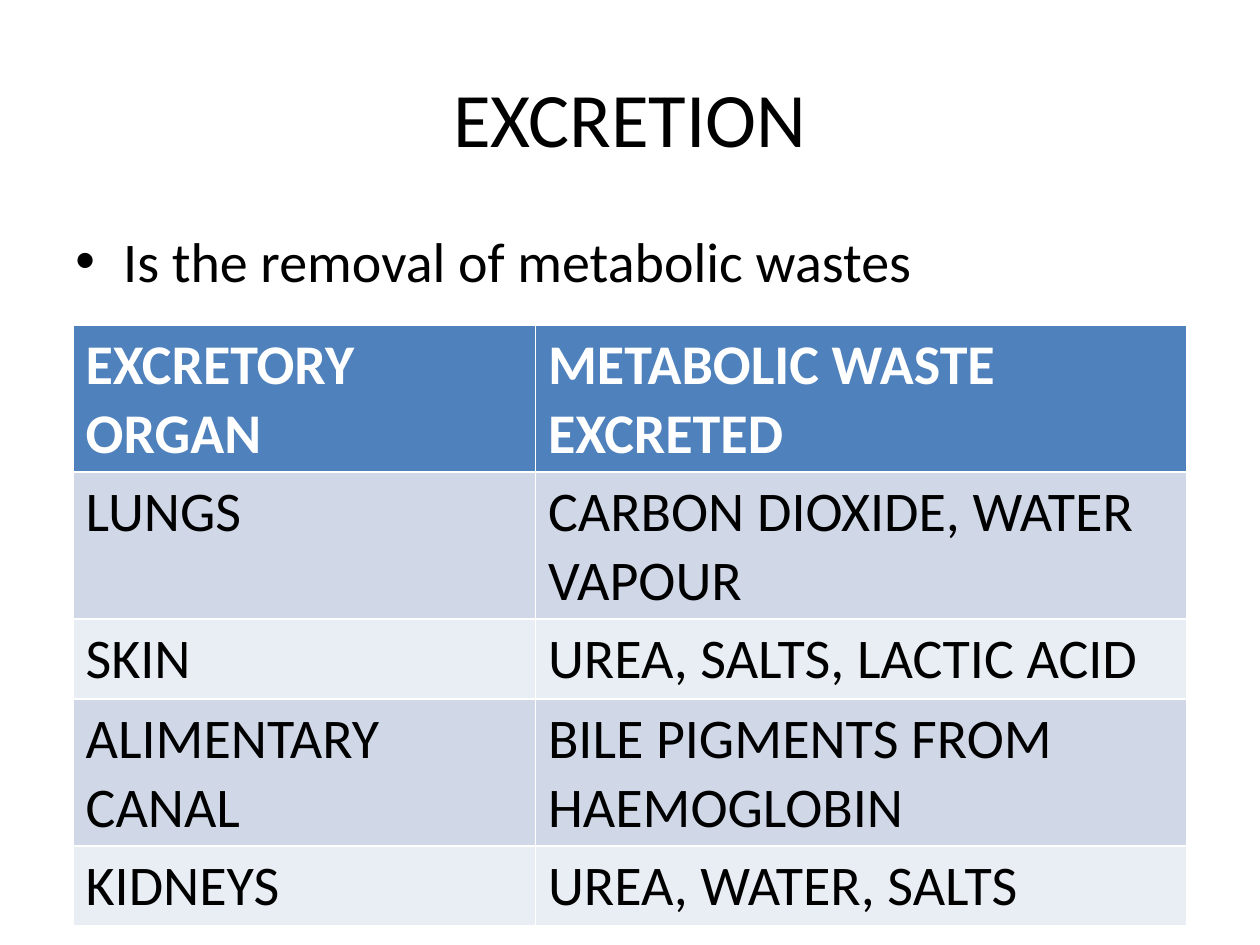
from lxml import etree
from pptx import Presentation
from pptx.dml.color import RGBColor
from pptx.enum.text import MSO_ANCHOR, PP_ALIGN
from pptx.oxml.ns import qn
from pptx.util import Inches, Pt

TITLE = "EXCRETION"
DEFINITION = "Is the removal of metabolic wastes"
ROWS = [
    ("EXCRETORY ORGAN", "METABOLIC WASTE EXCRETED"),
    ("LUNGS", "CARBON DIOXIDE, WATER VAPOUR"),
    ("SKIN", "UREA, SALTS, LACTIC ACID"),
    ("ALIMENTARY CANAL", "BILE PIGMENTS FROM HAEMOGLOBIN"),
    ("KIDNEYS", "UREA, WATER, SALTS"),
]

BLACK = RGBColor(0x00, 0x00, 0x00)
WHITE = RGBColor(0xFF, 0xFF, 0xFF)
HEADER_BLUE = RGBColor(0x4F, 0x81, 0xBD)
BANDS = (RGBColor(0xE9, 0xED, 0xF4), RGBColor(0xD0, 0xD8, 0xE8))

WIDTH, HEIGHT = Inches(10), Inches(7.5)
MARGIN = Inches(0.5)
CONTENT_WIDTH = WIDTH - 2 * MARGIN
TABLE_LEFT, TABLE_TOP = Inches(0.58), Inches(2.58)
COLUMN_WIDTHS = (Inches(3.67), Inches(5.17))
ROW_HEIGHT = Inches(0.41)
BULLET_INDENT = Inches(0.38)


def format_text(paragraph, **values):
    for name, value in {"name": "Calibri", "size": Pt(32), "bold": False, **values}.items():
        if name == "color":
            paragraph.font.color.rgb = value
        else:
            setattr(paragraph.font, name, value)


def add_bullet(paragraph):
    properties = paragraph._p.get_or_add_pPr()
    properties.set("marL", str(BULLET_INDENT))
    properties.set("indent", str(-BULLET_INDENT))
    etree.SubElement(properties, qn("a:buFont")).set("typeface", "Arial")
    etree.SubElement(properties, qn("a:buChar")).set("char", "•")


def add_title(page):
    title = page.shapes.title
    title.left, title.top = MARGIN, Inches(0.3)
    title.width, title.height = CONTENT_WIDTH, Inches(1.25)
    frame = title.text_frame
    frame.text = TITLE
    frame.vertical_anchor = MSO_ANCHOR.MIDDLE
    paragraph = frame.paragraphs[0]
    paragraph.alignment = PP_ALIGN.CENTER
    format_text(paragraph, size=Pt(44), color=BLACK)


def add_definition(page):
    box = page.shapes.add_textbox(MARGIN, Inches(1.75), CONTENT_WIDTH, TABLE_TOP - Inches(1.75))
    frame = box.text_frame
    frame.word_wrap = True
    frame.text = DEFINITION
    paragraph = frame.paragraphs[0]
    add_bullet(paragraph)
    format_text(paragraph, color=BLACK)


def add_organ_table(page):
    table = page.shapes.add_table(
        len(ROWS), len(COLUMN_WIDTHS), TABLE_LEFT, TABLE_TOP,
        sum(COLUMN_WIDTHS), ROW_HEIGHT * len(ROWS),
    ).table
    for column, width in zip(table.columns, COLUMN_WIDTHS):
        column.width = width
    for row, texts in enumerate(ROWS):
        header = row == 0
        for column, text in enumerate(texts):
            cell = table.cell(row, column)
            cell.text = text
            cell.fill.solid()
            cell.fill.fore_color.rgb = HEADER_BLUE if header else BANDS[row % 2]
            format_text(cell.text_frame.paragraphs[0], bold=header,
                        color=WHITE if header else BLACK)


def main():
    deck = Presentation()
    deck.slide_width, deck.slide_height = WIDTH, HEIGHT
    page = deck.slides.add_slide(deck.slide_layouts.get_by_name("Title Only"))
    add_title(page)
    add_definition(page)
    add_organ_table(page)
    deck.save("out.pptx")


if __name__ == "__main__":
    main()
